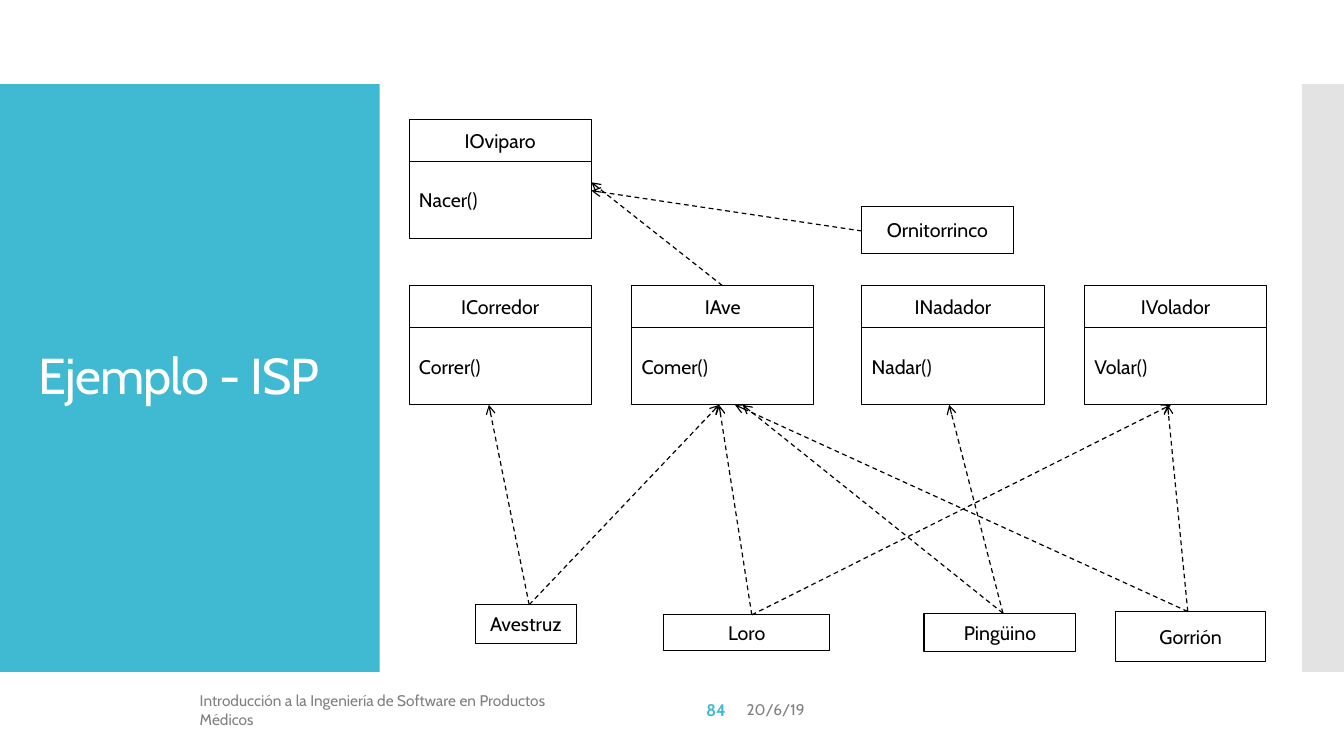
import pptx
import pptx.dml.color
import pptx.enum.dml
import pptx.enum.shapes
import pptx.enum.text
import pptx.oxml
import pptx.oxml.ns
import pptx.util

COLUMNS, ROWS = 160, 90
LEFT = pptx.enum.text.PP_ALIGN.LEFT
CENTER = pptx.enum.text.PP_ALIGN.CENTER
RIGHT = pptx.enum.text.PP_ALIGN.RIGHT


def color(value):
    return pptx.dml.color.RGBColor.from_string(value)


def drawing_element(tag, attributes=""):
    return pptx.oxml.parse_xml(
        f'<a:{tag} {pptx.oxml.ns.nsdecls("a")} {attributes}/>')


class DiagramSlide:
    font = "Cabin"
    accent = "40BAD2"
    ink = "000000"
    muted = "808080"
    text_size = 14

    def __init__(self, presentation):
        self.slide = presentation.slides.add_slide(presentation.slide_layouts[6])
        self.column = presentation.slide_width / COLUMNS
        self.row = presentation.slide_height / ROWS

    def place(self, left, top, width, height):
        return [round(left * self.column), round(top * self.row),
                round(width * self.column), round(height * self.row)]

    def rectangle(self, box):
        shape = self.slide.shapes.add_shape(
            pptx.enum.shapes.MSO_SHAPE.RECTANGLE, *self.place(*box))
        shape.shadow.inherit = False
        return shape

    def panel(self, box, fill, opacity=100):
        shape = self.rectangle(box)
        shape.fill.solid()
        shape.fill.fore_color.rgb = color(fill)
        shape.line.fill.background()
        if opacity < 100:
            fill_color = shape._element.spPr.find(".//" + pptx.oxml.ns.qn("a:srgbClr"))
            fill_color.append(drawing_element("alpha", f'val="{opacity * 1000}"'))

    def set_text(self, shape, text, size, ink, alignment=LEFT, bold=False):
        frame = shape.text_frame
        frame.word_wrap = True
        frame.vertical_anchor = pptx.enum.text.MSO_ANCHOR.MIDDLE
        frame.text = text
        paragraph = frame.paragraphs[0]
        paragraph.alignment = alignment
        font = paragraph.runs[0].font
        font.name = self.font
        font.size = pptx.util.Pt(size)
        font.bold = bold
        font.color.rgb = color(ink)
        return paragraph

    def label(self, box, text, size, ink, alignment=LEFT, bold=False):
        shape = self.slide.shapes.add_textbox(*self.place(*box))
        return self.set_text(shape, text, size, ink, alignment, bold)

    def class_box(self, box, text, alignment=CENTER):
        shape = self.rectangle(box)
        shape.fill.background()
        shape.line.color.rgb = color(self.ink)
        shape.line.width = pptx.util.Pt(0.75)
        self.set_text(shape, text, self.text_size, self.ink, alignment)

    def interface(self, left, top, name, method):
        width, header, body = 21.7, 5, 9.2
        self.class_box((left, top, width, header), name)
        self.class_box((left, top + header, width, body), method, LEFT)

    def dependency(self, start, end):
        connector = self.slide.shapes.add_connector(
            pptx.enum.shapes.MSO_CONNECTOR.STRAIGHT, *self.place(*start, *end))
        connector.line.color.rgb = color(self.ink)
        connector.line.width = pptx.util.Pt(0.85)
        connector.line.dash_style = pptx.enum.dml.MSO_LINE.DASH
        properties = connector._element.spPr
        outline = properties.find(pptx.oxml.ns.qn("a:ln"))
        outline.append(drawing_element("tailEnd", 'type="arrow"'))
        properties.append(drawing_element("effectLst"))


def main():
    presentation = pptx.Presentation()
    presentation.slide_width = pptx.util.Inches(13.33)
    presentation.slide_height = pptx.util.Inches(7.5)
    diagram = DiagramSlide(presentation)

    diagram.panel((0, 10, 45.2, 70), diagram.accent)
    diagram.panel((155, 10, 5, 70), "C8C8C8", opacity=50)

    title = diagram.label((3.4, 14.8, 38.6, 60.4), "Ejemplo - ISP", 36, "FFFFFF")
    title.line_spacing = 0.9
    title.runs[0].font._element.set("spc", "-60")

    interface_top, interface_bottom = 34, 48.2
    diagram.interface(48.7, 14.2, "IOviparo", "Nacer()")
    for left, name, method in [
        (48.7, "ICorredor", "Correr()"),
        (75.2, "IAve", "Comer()"),
        (102.6, "INadador", "Nadar()"),
        (129.1, "IVolador", "Volar()"),
    ]:
        diagram.interface(left, interface_top, name, method)

    for name, box, start, targets in [
        ("Avestruz", (56.6, 72, 12, 4.6), 63, (58.2, 85.6)),
        ("Loro", (79, 73.2, 19.8, 4.3), 89.5, (85.6, 139.4)),
        ("Pingüino", (110, 73, 18.1, 4.6), 119.4, (88.4, 113)),
        ("Gorrión", (132.8, 72.8, 17.9, 6), 141.4, (87.5, 139)),
    ]:
        diagram.class_box(box, name)
        for target in targets:
            diagram.dependency((start, box[1]), (target, interface_bottom))

    diagram.class_box((102.6, 24.6, 18, 5.6), "Ornitorrinco")
    diagram.dependency((102.6, 27.5), (70.4, 22.7))
    diagram.dependency((86, interface_top), (70.4, 21.7))

    footer_top, footer_height = 82.1, 4.8
    diagram.label((87.7, footer_top, 49.7, footer_height), "20/6/19", 11, diagram.muted)
    diagram.label((22.6, footer_top, 49.7, footer_height),
                  "Introducción a la Ingeniería de Software en Productos Médicos",
                  11, diagram.muted)
    diagram.label((72.4, footer_top, 15.2, footer_height), "84", 12,
                  diagram.accent, RIGHT, bold=True)

    presentation.save("out.pptx")


if __name__ == "__main__":
    main()
